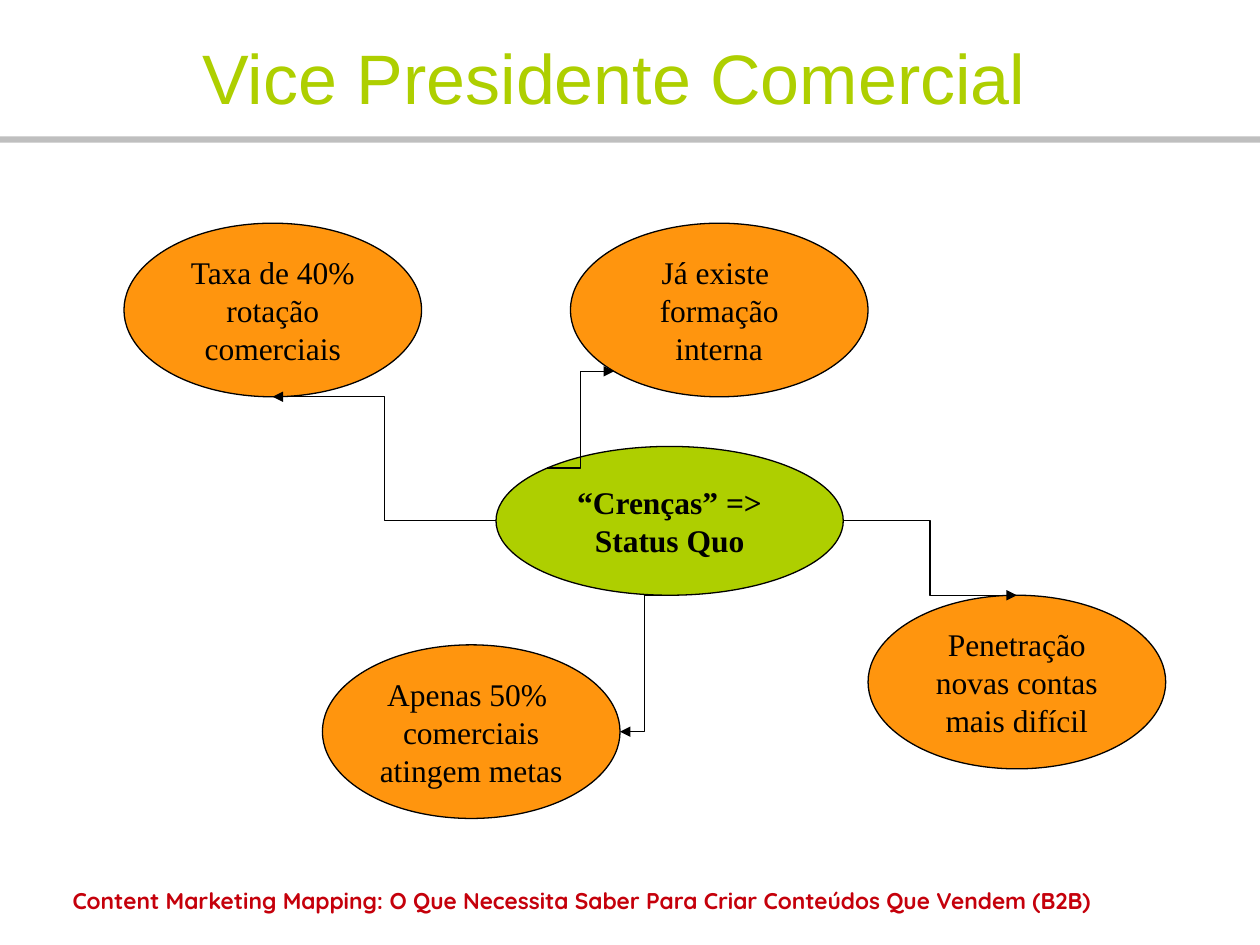
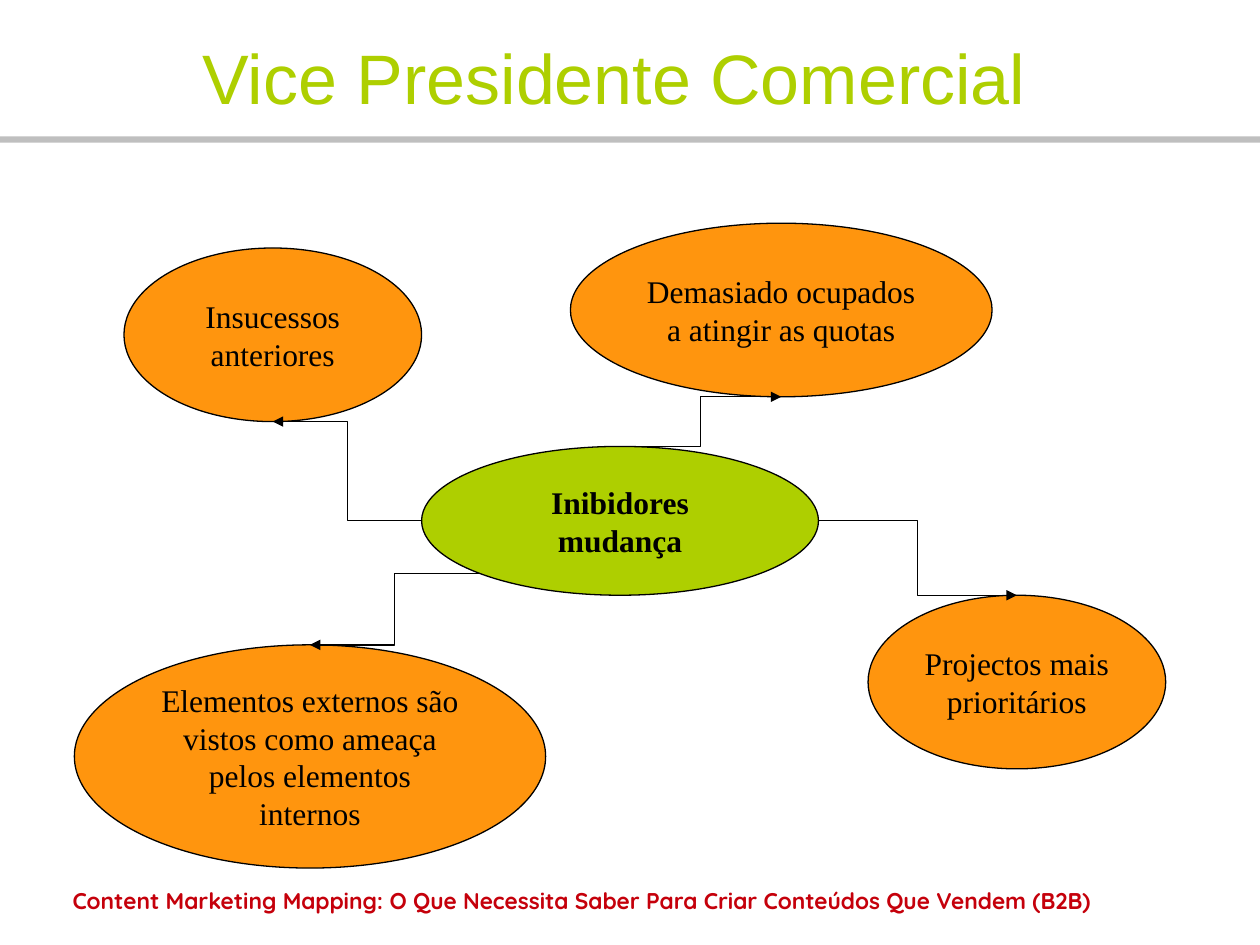
import math
from dataclasses import dataclass
from enum import Enum

import pptx
import pptx.dml.color
import pptx.enum.shapes
import pptx.enum.text
import pptx.oxml
import pptx.oxml.ns
import pptx.util
from pptx.presentation import Presentation as Deck
from pptx.slide import Slide

CELL = pptx.util.Cm(0.5)  # side of one grid cell; all places are in columns and rows
TITLE_ONLY = 5


@dataclass(frozen=True)
class Theme:
    lime: str = "AECF00"
    orange: str = "FF950E"
    ink: str = "000000"
    band: str = "BFBFBF"
    footer: str = "C5000B"
    title_font: str = "Arial"
    bubble_font: str = "Times New Roman"
    footer_font: str = "Quicksand"
    title_size: int = 40
    bubble_size: int = 18
    footer_size: int = 13
    line_width: float = 0.75


THEME = Theme()
TITLE = "Vice Presidente Comercial"
FOOTER = "Content Marketing Mapping: O Que Necessita Saber Para Criar Conteúdos Que Vendem (B2B)"


class Site(Enum):
    """Points on an ellipse, as clockwise degrees from its right end."""
    RIGHT = 0
    BOTTOM = 90
    BOTTOM_LEFT = 135
    LEFT = 180
    TOP_LEFT = 225
    TOP = 270


@dataclass(frozen=True)
class Area:
    column: float
    row: float
    columns: float
    rows: float

    def lengths(self) -> list[int]:
        return [round(CELL * cells) for cells in (self.column, self.row, self.columns, self.rows)]

    def point(self, site: Site) -> tuple[int, int]:
        """Place of a site on the ellipse that fills this area."""
        left, top, width, height = self.lengths()
        angle = math.radians(site.value)
        return (round(left + width / 2 * (1 + math.cos(angle))),
                round(top + height / 2 * (1 + math.sin(angle))))


@dataclass(frozen=True)
class Branch:
    text: str
    area: Area
    leaves: Site
    arrives: Site


@dataclass(frozen=True)
class MindMap:
    topic: str
    area: Area
    branches: tuple[Branch, ...]


TITLE_AREA = Area(7, 1, 35.5, 4)
FOOTER_AREA = Area(1.25, 35.5, 47.5, 2.5)
BAND_ROW, BAND_ROWS = 5.5, 0.25

MIND_MAPS = (
    MindMap("“Crenças” =>\nStatus Quo", Area(20, 18, 14, 6), (
        Branch("Taxa de 40%\nrotação\ncomerciais", Area(5, 9, 12, 7), Site.LEFT, Site.BOTTOM),
        Branch("Apenas 50% \ncomerciais\natingem metas", Area(13, 26, 12, 7),
               Site.BOTTOM, Site.RIGHT),
        Branch("Já existe \nformação\ninterna", Area(23, 9, 12, 7),
               Site.TOP_LEFT, Site.BOTTOM_LEFT),
        Branch("Penetração\nnovas contas\nmais difícil", Area(35, 24, 12, 7),
               Site.RIGHT, Site.TOP),
    )),
    MindMap("Inibidores\nmudança", Area(17, 18, 16, 6), (
        Branch("Insucessos anteriores", Area(5, 10, 12, 7), Site.LEFT, Site.BOTTOM),
        Branch("Elementos externos são vistos como ameaça pelos elementos internos",
               Area(3, 26, 19, 9), Site.BOTTOM_LEFT, Site.TOP),
        Branch("Demasiado ocupados a atingir as quotas", Area(23, 9, 17, 7),
               Site.TOP, Site.BOTTOM),
        Branch("Projectos mais prioritários", Area(35, 24, 12, 7), Site.RIGHT, Site.TOP),
    )),
)


def rgb(value: str) -> pptx.dml.color.RGBColor:
    return pptx.dml.color.RGBColor.from_string(value)


def write(shape, text: str, face: str, size: int, color: str,
          bold: bool = False, centred: bool = True) -> None:
    frame = shape.text_frame
    frame.text = text
    frame.word_wrap = True
    for para in frame.paragraphs:
        para.alignment = pptx.enum.text.PP_ALIGN.CENTER if centred else pptx.enum.text.PP_ALIGN.LEFT
        para.font.name = face
        para.font.size = pptx.util.Pt(size)
        para.font.bold = bold
        para.font.color.rgb = rgb(color)


def draw_frame(deck: Deck, page: Slide) -> None:
    """Put the title, grey band and footer on a page."""
    title = page.shapes.title
    title.left, title.top, title.width, title.height = TITLE_AREA.lengths()
    write(title, TITLE, THEME.title_font, THEME.title_size, THEME.lime)
    frame = title.text_frame
    frame.vertical_anchor = pptx.enum.text.MSO_ANCHOR.MIDDLE
    frame.margin_left = frame.margin_right = frame.margin_top = frame.margin_bottom = 0
    frame.paragraphs[0].line_spacing = 1.04

    band = page.shapes.add_shape(pptx.enum.shapes.MSO_SHAPE.RECTANGLE, 0, round(CELL * BAND_ROW),
                                 deck.slide_width, round(CELL * BAND_ROWS))
    band.shadow.inherit = False
    band.fill.solid()
    band.fill.fore_color.rgb = rgb(THEME.band)
    band.line.fill.background()

    footer = page.shapes.add_textbox(*FOOTER_AREA.lengths())
    write(footer, FOOTER, THEME.footer_font, THEME.footer_size, THEME.footer,
          bold=True, centred=False)
    footer.text_frame.margin_left = pptx.util.Inches(0.33)


def draw_bubble(page: Slide, area: Area, text: str, fill: str, bold: bool = False) -> None:
    bubble = page.shapes.add_shape(pptx.enum.shapes.MSO_SHAPE.OVAL, *area.lengths())
    bubble.shadow.inherit = False
    bubble.fill.solid()
    bubble.fill.fore_color.rgb = rgb(fill)
    bubble.line.color.rgb = rgb(THEME.ink)
    bubble.line.width = pptx.util.Pt(THEME.line_width)
    bubble.text_frame.vertical_anchor = pptx.enum.text.MSO_ANCHOR.MIDDLE
    write(bubble, text, THEME.bubble_font, THEME.bubble_size, THEME.ink, bold)


def draw_arrow(page: Slide, start: tuple[int, int], end: tuple[int, int]) -> None:
    arrow = page.shapes.add_connector(pptx.enum.shapes.MSO_CONNECTOR.ELBOW, *start, *end)
    arrow.line.color.rgb = rgb(THEME.ink)
    arrow.line.width = pptx.util.Pt(THEME.line_width)
    namespace = pptx.oxml.ns.nsdecls("a")
    arrow.line._get_or_add_ln().append(
        pptx.oxml.parse_xml(f'<a:tailEnd {namespace} type="triangle"/>'))
    arrow._element.spPr.append(pptx.oxml.parse_xml(f"<a:effectLst {namespace}/>"))


def draw_mind_map(page: Slide, mind_map: MindMap) -> None:
    draw_bubble(page, mind_map.area, mind_map.topic, THEME.lime, bold=True)
    for branch in mind_map.branches:
        draw_bubble(page, branch.area, branch.text, THEME.orange)
        draw_arrow(page, mind_map.area.point(branch.leaves), branch.area.point(branch.arrives))


def main() -> None:
    deck = pptx.Presentation()
    deck.slide_width = pptx.util.Inches(10)
    deck.slide_height = pptx.util.Inches(7.5)
    for mind_map in MIND_MAPS:
        page = deck.slides.add_slide(deck.slide_layouts[TITLE_ONLY])
        draw_frame(deck, page)
        draw_mind_map(page, mind_map)
    deck.save("out.pptx")


if __name__ == "__main__":
    main()
